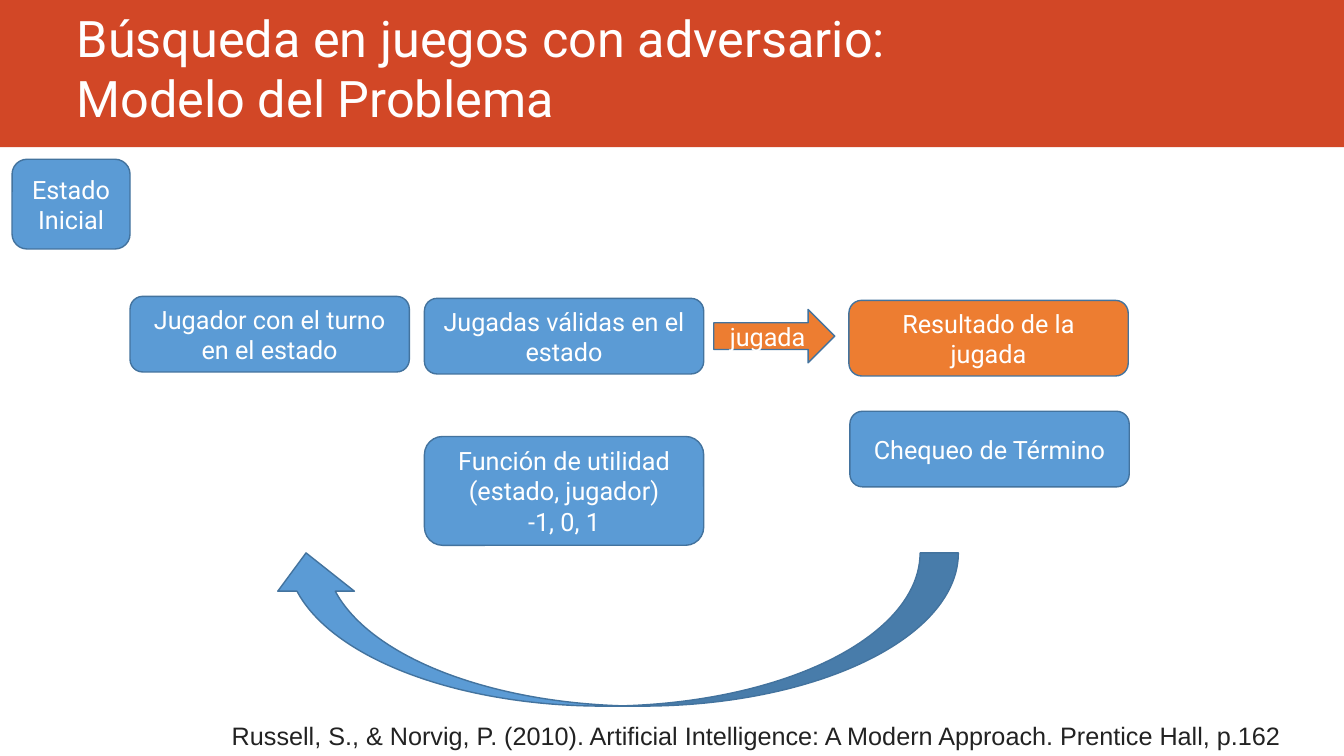
"""Build the slide that models adversarial game search."""
from dataclasses import dataclass

from pptx import Presentation
from pptx.dml.color import RGBColor
from pptx.enum import shapes, text
from pptx.util import Inches, Pt

RED = RGBColor(0xD2, 0x47, 0x26)
BLUE = RGBColor(0x5B, 0x9B, 0xD5)
ORANGE = RGBColor(0xED, 0x7D, 0x31)
OUTLINE = RGBColor(0x43, 0x73, 0x9E)
WHITE = RGBColor(0xFF, 0xFF, 0xFF)
INK = RGBColor(0x22, 0x22, 0x22)

KIND = shapes.MSO_SHAPE
LEFT, CENTER = text.PP_ALIGN.LEFT, text.PP_ALIGN.CENTER
TOP, MIDDLE, BOTTOM = (
    text.MSO_ANCHOR.TOP, text.MSO_ANCHOR.MIDDLE, text.MSO_ANCHOR.BOTTOM)
BOX_WIDTH, BOX_HEIGHT = 2.77, 0.75


@dataclass(frozen=True)
class Block:
    left: float
    top: float
    words: str = ""
    width: float = BOX_WIDTH
    height: float = BOX_HEIGHT
    fill: RGBColor = BLUE
    kind: KIND = KIND.ROUNDED_RECTANGLE
    rotation: float = 0
    outlined: bool = True


BANNER = Block(0, 0, width=13.33, height=1.46, fill=RED,
               kind=KIND.RECTANGLE, outlined=False)
BLOCKS = (
    Block(0.12, 1.58, "Estado Inicial", width=1.17, height=0.89),
    Block(1.29, 2.94, "Jugador con el turno en el estado"),
    Block(4.21, 2.96, "Jugadas válidas en el estado"),
    Block(8.42, 2.98, "Resultado de la jugada", fill=ORANGE),
    Block(8.43, 4.08, "Chequeo de Término"),
    Block(4.21, 4.33, "Función de utilidad (estado, jugador)\n-1, 0, 1",
          height=1.08),
    Block(7.08, 3.07, "jugada", width=1.2, height=0.53, fill=ORANGE,
          kind=KIND.RIGHT_ARROW),
    Block(5.32, 2.82, width=1.52, height=6.85,
          kind=KIND.CURVED_LEFT_ARROW, rotation=90),
)


def write(box, words: str, size: float, color: RGBColor, align, anchor,
          name: str = "Roboto") -> None:
    frame = box.text_frame
    frame.text = words
    layout = {"word_wrap": True, "vertical_anchor": anchor,
              "auto_size": text.MSO_AUTO_SIZE.NONE}
    for key, value in layout.items():
        setattr(frame, key, value)
    for para in frame.paragraphs:
        para.alignment = align
        for span in para.runs:
            for key, value in {"name": name, "size": Pt(size)}.items():
                setattr(span.font, key, value)
            span.font.color.rgb = color


def draw(page, block: Block):
    box = page.shapes.add_shape(
        block.kind, Inches(block.left), Inches(block.top),
        Inches(block.width), Inches(block.height))
    box.shadow.inherit = False
    box.rotation = block.rotation
    box.fill.solid()
    box.fill.fore_color.rgb = block.fill
    if block.outlined:
        box.line.color.rgb = OUTLINE
        box.line.width = Pt(1)
    else:
        box.line.fill.background()
    if block.words:
        write(box, block.words, 18, WHITE, CENTER, MIDDLE)
    return box


def main() -> None:
    deck = Presentation()
    deck.slide_width, deck.slide_height = Inches(13.33), Inches(7.5)
    page = deck.slides.add_slide(deck.slide_layouts.get_by_name("Title Only"))

    title = page.shapes.title
    place = {"left": 0.66, "top": 0, "width": 11.76, "height": 1.32}
    for key, value in place.items():
        setattr(title, key, Inches(value))
    write(title, "Búsqueda en juegos con adversario:\vModelo del Problema",
          36, WHITE, LEFT, BOTTOM)

    banner = draw(page, BANNER)
    title._element.addprevious(banner._element)

    citation = page.shapes.add_textbox(
        Inches(2.2), Inches(7.1), Inches(10.62), Inches(0.4))
    write(citation,
          "Russell, S., & Norvig, P. (2010). Artificial Intelligence: "
          "A Modern Approach. Prentice Hall, p.162",
          18, INK, LEFT, TOP, "Arial")

    for block in BLOCKS:
        draw(page, block)
    deck.save("out.pptx")


if __name__ == "__main__":
    main()
